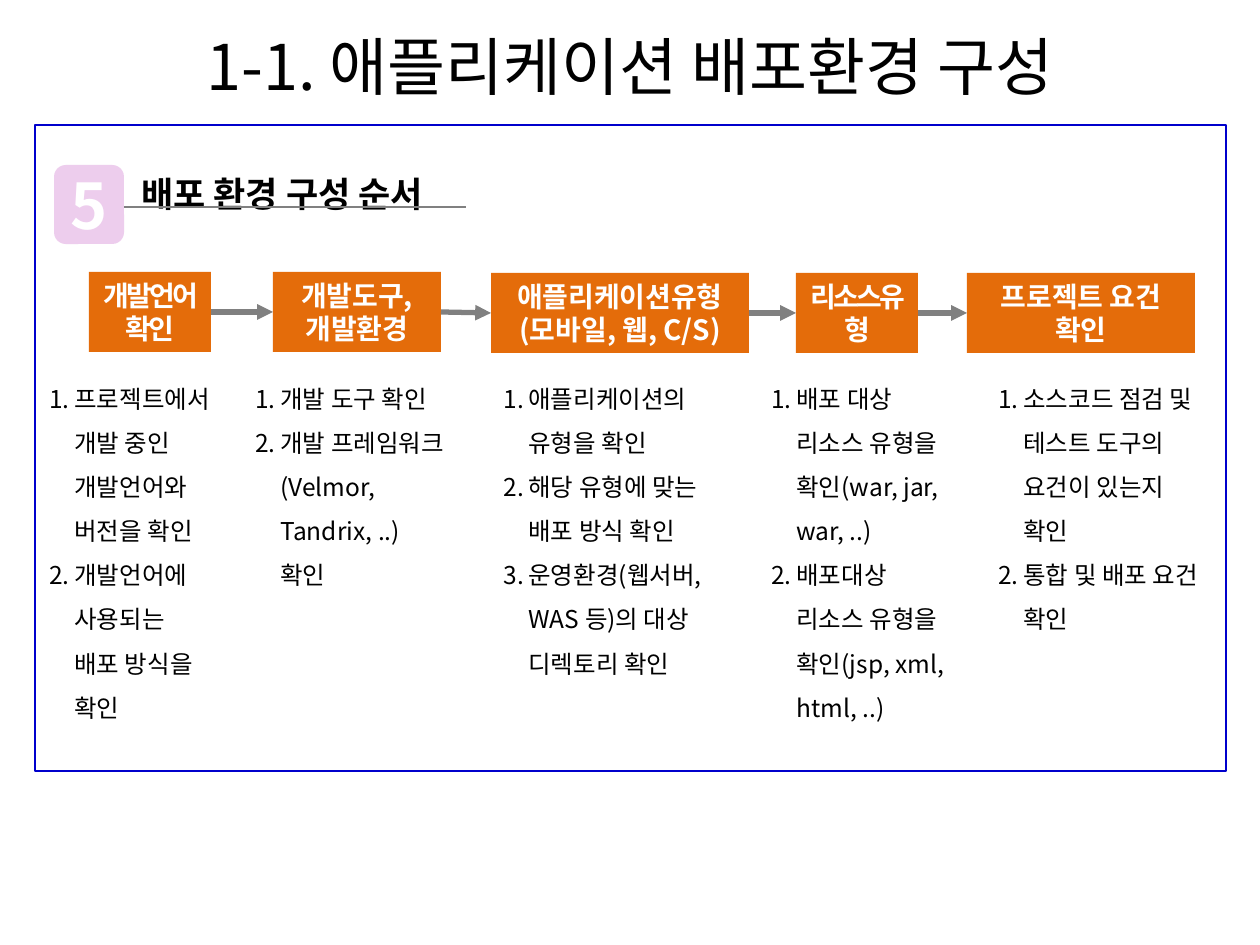
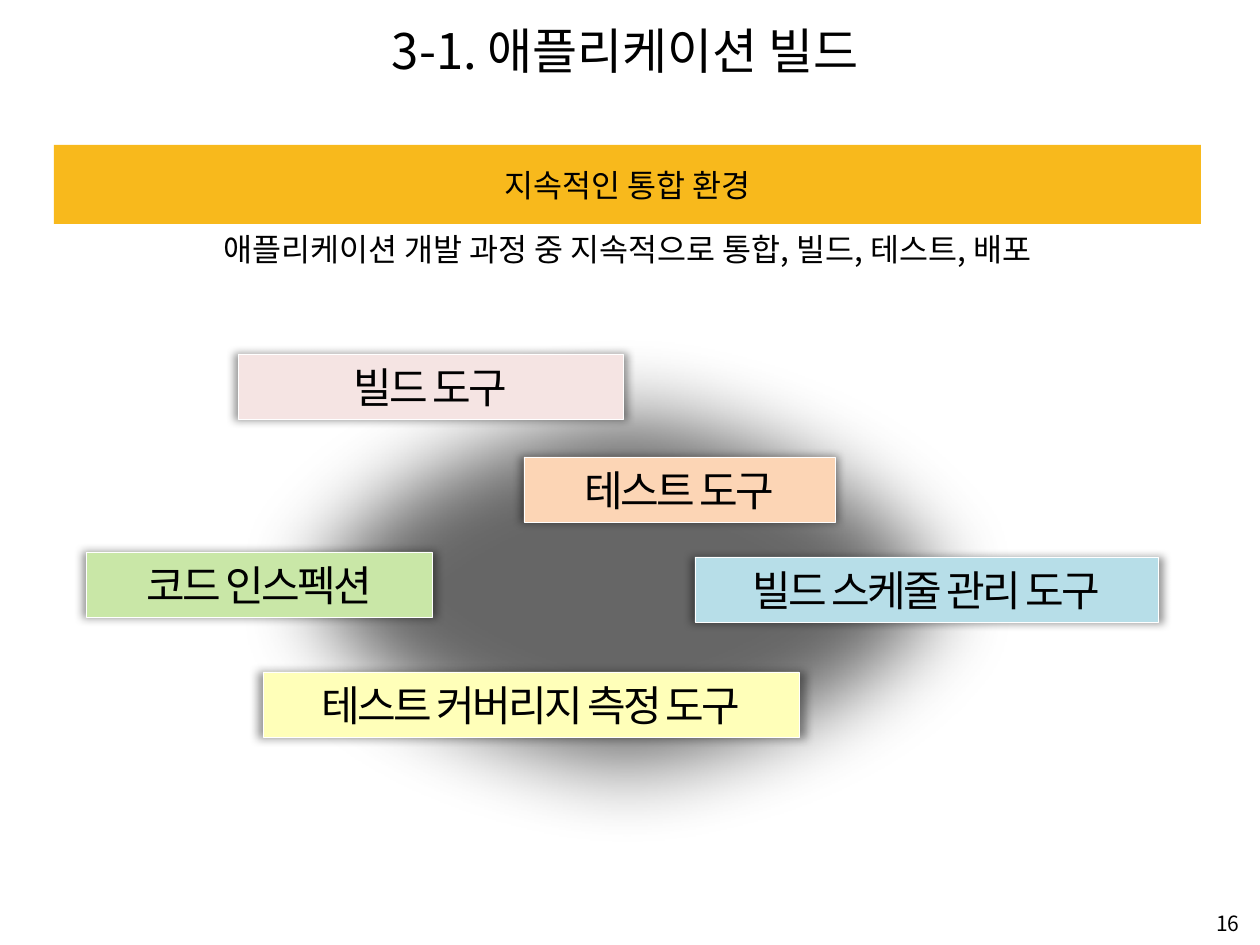
from lxml import etree
from pptx import Presentation
from pptx.dml.color import RGBColor
from pptx.enum.shapes import MSO_CONNECTOR, MSO_SHAPE
from pptx.enum.text import MSO_ANCHOR, PP_ALIGN
from pptx.oxml.ns import qn
from pptx.util import Emu, Pt

SCALE = 914400 / 126
FONT = "Noto Sans CJK KR"
RECT, ROUND, OVAL = MSO_SHAPE.RECTANGLE, MSO_SHAPE.ROUNDED_RECTANGLE, MSO_SHAPE.OVAL
STRAIGHT = MSO_CONNECTOR.STRAIGHT
LEFT, CENTER, RIGHT = PP_ALIGN.LEFT, PP_ALIGN.CENTER, PP_ALIGN.RIGHT
TOP, MIDDLE = MSO_ANCHOR.TOP, MSO_ANCHOR.MIDDLE
COLORS = {
    "black": "000000", "white": "FFFFFF", "frame": "0000CC", "gray": "808080",
    "step": "E46C0A", "badge": "E6B9E6", "band": "F8B91C", "pink": "F5E4E3",
    "peach": "FCD5B5", "green": "C9E7A7", "yellow": "FFFFB9", "blue": "B7DEE8",
}
RGB = {name: RGBColor.from_string(value) for name, value in COLORS.items()}


def write(box, lines, size, color="black", bold=False, align=CENTER, anchor=TOP,
          spacing=None, tracking=None, numbered=False, font=FONT):
    """Fill a box with paragraphs that share one format."""
    frame = box.text_frame
    frame.word_wrap = True
    frame.vertical_anchor = anchor
    frame.text = "\n".join(lines)
    for para in frame.paragraphs:
        para.alignment = align
        if spacing:
            para.line_spacing = spacing
        if numbered:
            properties = para._p.get_or_add_pPr()
            properties.set("marL", str(Emu(round(25 * SCALE))))
            properties.set("indent", str(-Emu(round(25 * SCALE))))
            etree.SubElement(properties, qn("a:buFont"), typeface="+mj-lt")
            etree.SubElement(properties, qn("a:buAutoNum"), type="arabicPeriod")
        for span in para.runs:
            span.font.name = font
            span.font.size = Pt(size)
            span.font.bold = bold
            span.font.color.rgb = RGB[color]
            run_properties = span._r.get_or_add_rPr()
            etree.SubElement(run_properties, qn("a:ea"), typeface=FONT)
            if tracking:
                run_properties.set("spc", str(tracking))


def add_box(page, area, kind=None, fill=None, line=None, width=1, alpha=None):
    """Add a preset shape, or a text box when no kind is given; area is in px."""
    place = [Emu(round(value * SCALE)) for value in area]
    if kind is None:
        return page.shapes.add_textbox(*place)
    box = page.shapes.add_shape(kind, *place)
    box.shadow.inherit = False
    if fill:
        box.fill.solid()
        box.fill.fore_color.rgb = RGB[fill]
    else:
        box.fill.background()
    if alpha:
        color = box.fill._xPr.find(qn("a:solidFill"))[0]
        etree.SubElement(color, qn("a:alpha"), val=str(alpha * 1000))
    if line:
        box.line.color.rgb = RGB[line]
        box.line.width = Pt(width)
    else:
        box.line.fill.background()
    return box


deck = Presentation()
deck.slide_width, deck.slide_height = Emu(round(1260 * SCALE)), Emu(round(945 * SCALE))

# Pages and titles
pages = []
for title, size, area in [
    ("1-1. 애플리케이션 배포환경 구성", 36, (15, 6, 1230, 118)),
    ("3-1. 애플리케이션 빌드", 28, (15, 6, 1221, 87)),
]:
    page = deck.slides.add_slide(deck.slide_layouts[5])
    heading = page.shapes.title
    heading.left, heading.top, heading.width, heading.height = [
        Emu(round(value * SCALE)) for value in area]
    write(heading, [title], size, anchor=MIDDLE)
    pages.append(page)
order_page, build_page = pages

# Deployment environment steps
write(add_box(order_page, (129, 145, 382, 77)), ["배포 환경 구성 순서"], 20,
      bold=True, align=LEFT, spacing=1.5)
add_box(order_page, (35, 125, 1191, 646), RECT, line="frame")

STEP_HEIGHT = 80
steps = [
    # left, top, width, label, tracking, list left, list width, list items
    (89, 272, 122, "개발언어 확인", -150, 37, 186,
     ["프로젝트에서 개발 중인 개발언어와 버전을 확인",
      "개발언어에 사용되는 배포 방식을 확인"]),
    (273, 272, 168, "개발도구, 개발환경", None, 243, 217,
     ["개발 도구 확인", "개발 프레임워크(Velmor, Tandrix, ..) 확인"]),
    (491, 273, 258, "애플리케이션유형(모바일, 웹, C/S)", None, 491, 258,
     ["애플리케이션의 유형을 확인", "해당 유형에 맞는 배포 방식 확인",
      "운영환경(웹서버, WAS 등)의 대상 디렉토리 확인"]),
    (796, 273, 122, "리소스유형", -150, 759, 208,
     ["배포 대상 리소스 유형을 확인(war, jar, war, ..)",
      "배포대상 리소스 유형을 확인(jsp, xml, html, ..)"]),
    (967, 273, 228, "프로젝트 요건 확인", None, 986, 228,
     ["소스코드 점검 및 테스트 도구의 요건이 있는지 확인", "통합 및 배포 요건 확인"]),
]
for left, top, width, label, tracking, list_left, list_width, items in steps:
    step = add_box(order_page, (left, top, width, STEP_HEIGHT), RECT, "step")
    write(step, [label], 16, "white", True, tracking=tracking)
    listing = add_box(order_page, (list_left, 363, list_width, 400))
    write(listing, items, 14, align=LEFT, spacing=1.5, numbered=True)

# Heading rule, then an arrow from each step to the next
links = [((124, 207, 466, 207), 0.75, False)]
for current, following in zip(steps, steps[1:]):
    ends = (current[0] + current[2], current[1] + STEP_HEIGHT // 2,
            following[0], following[1] + STEP_HEIGHT // 2)
    links.append((ends, 3, True))
for ends, width, has_arrow in links:
    link = order_page.shapes.add_connector(
        STRAIGHT, *[Emu(round(value * SCALE)) for value in ends])
    link.line.color.rgb = RGB["gray"]
    link.line.width = Pt(width)
    if has_arrow:
        etree.SubElement(link.line._get_or_add_ln(), qn("a:tailEnd"), type="triangle")
    etree.SubElement(link._element.spPr, qn("a:effectLst"))

badge = add_box(order_page, (54, 165, 70, 79), ROUND, "badge", alpha=70)
write(badge, ["5"], 36, "white", True, anchor=MIDDLE)

# Continuous integration tools
write(add_box(build_page, (959, 907, 293, 32)), ["16"], 12, align=RIGHT, anchor=MIDDLE)
write(add_box(build_page, (54, 224, 1147, 645), RECT, "white"),
      ["애플리케이션 개발 과정 중 지속적으로 통합, 빌드, 테스트, 배포"], 18)
write(add_box(build_page, (54, 145, 1147, 79), RECT, "band"),
      ["지속적인 통합 환경"], 18, anchor=MIDDLE)

glow = add_box(build_page, (203, 324, 848, 535), OVAL, "black", alpha=60)
etree.SubElement(glow._element.spPr.find(qn("a:effectLst")), qn("a:softEdge"),
                 rad=str(Pt(50)))

for left, top, width, fill, label in [
    (238, 354, 385, "pink", "빌드 도구"),
    (524, 457, 311, "peach", "테스트 도구"),
    (86, 552, 346, "green", "코드 인스펙션"),
    (263, 672, 536, "yellow", "테스트 커버리지 측정 도구"),
    (695, 557, 463, "blue", "빌드 스케줄 관리 도구"),
]:
    tool = add_box(build_page, (left, top, width, 65), RECT, fill, "white", 0.25)
    write(tool, [label], 24, anchor=MIDDLE, tracking=-150, font="Arial")
    shadow = etree.SubElement(
        tool._element.spPr.find(qn("a:effectLst")), qn("a:outerShdw"),
        blurRad=str(Pt(5)), sx="102000", sy="102000", algn="ctr", rotWithShape="0")
    shade = etree.SubElement(shadow, qn("a:srgbClr"), val=COLORS["black"])
    etree.SubElement(shade, qn("a:alpha"), val="40000")

deck.save("out.pptx")
